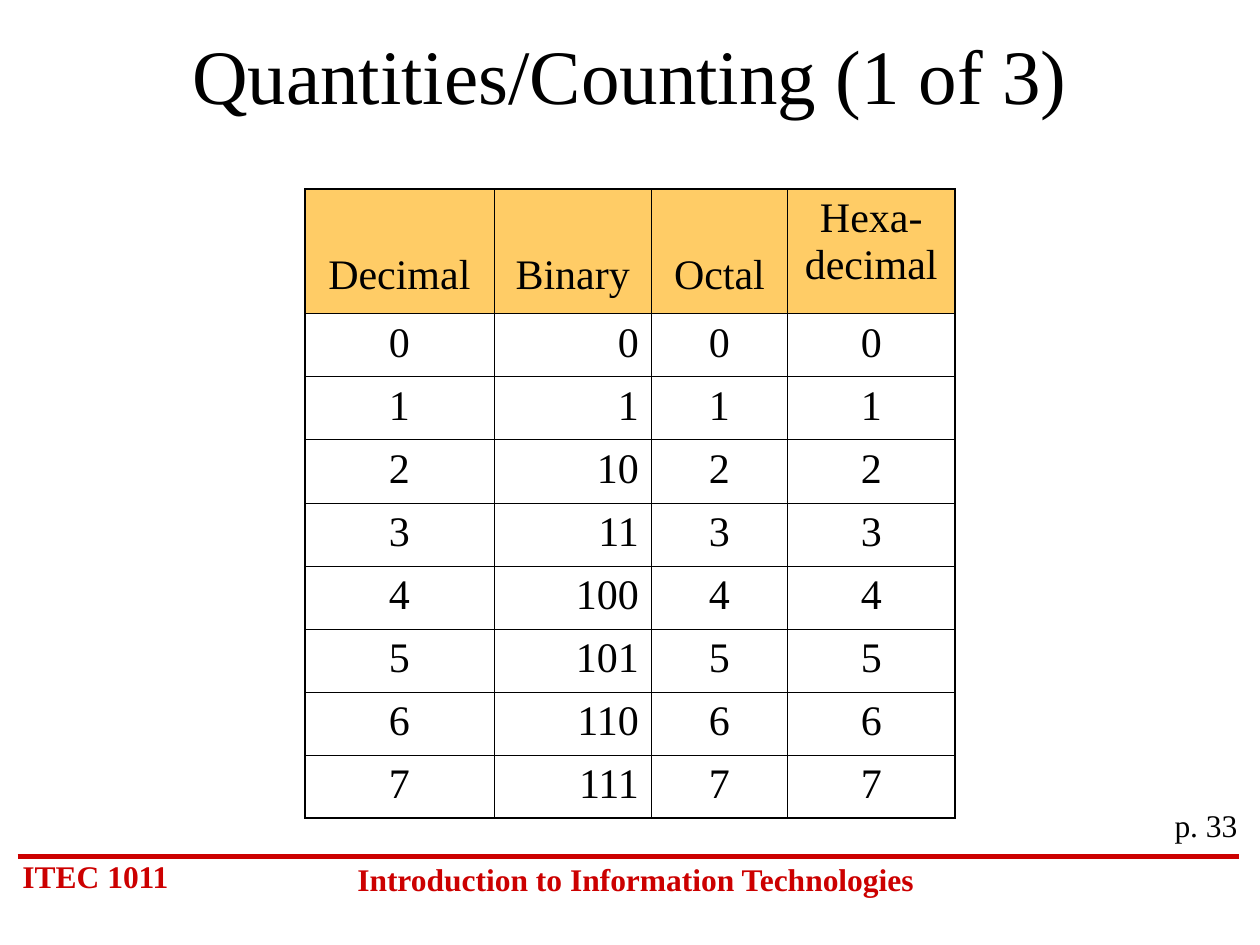
import pptx
import pptx.dml.color
import pptx.enum.shapes
import pptx.enum.text
import pptx.oxml.ns
import pptx.util
from lxml import etree
from pptx.util import Inches

ALIGN = pptx.enum.text.PP_ALIGN
ANCHOR = pptx.enum.text.MSO_ANCHOR
qn = pptx.oxml.ns.qn


def color(hex_string):
    return pptx.dml.color.RGBColor.from_string(hex_string)


def write(frame, text, size=18, ink="000000", bold=False, align=ALIGN.LEFT,
          before=0, font="Times New Roman"):
    """Put one formatted paragraph in a text frame."""
    paragraph = frame.paragraphs[0]
    paragraph.text = text
    paragraph.alignment = align
    paragraph.space_before = pptx.util.Pt(before)
    for run in paragraph.runs:
        run.font.name = font
        run.font.size = pptx.util.Pt(size)
        run.font.bold = bold
        run.font.color.rgb = color(ink)


class CourseSlide:
    RED = "CC0000"
    BLACK = "000000"
    HEADER_FILL = "FFCC66"
    INNER, OUTER = 0.45, 1.08

    def __init__(self, slide):
        self.slide = slide

    def title(self, text, left, top, width, height):
        heading = self.slide.shapes.title
        heading.left, heading.top = Inches(left), Inches(top)
        heading.width, heading.height = Inches(width), Inches(height)
        heading.text_frame.vertical_anchor = ANCHOR.MIDDLE
        write(heading.text_frame, text, size=44, align=ALIGN.CENTER)

    def label(self, text, left, top, width, height, **style):
        box = self.slide.shapes.add_textbox(
            Inches(left), Inches(top), Inches(width), Inches(height))
        box.text_frame.word_wrap = True
        write(box.text_frame, text, before=11.2, **style)

    def rule(self, left, right, y):
        line = self.slide.shapes.add_connector(
            pptx.enum.shapes.MSO_CONNECTOR.STRAIGHT,
            Inches(left), Inches(y), Inches(right), Inches(y))
        line.line.color.rgb = color(self.RED)
        line.line.width = pptx.util.Pt(3)
        etree.SubElement(line._element.spPr, qn("a:effectLst"))

    def border(self, cell, side, width):
        edge = etree.SubElement(cell._tc.get_or_add_tcPr(), qn(f"a:ln{side}"),
                                w=str(pptx.util.Pt(width)))
        fill = etree.SubElement(edge, qn("a:solidFill"))
        etree.SubElement(fill, qn("a:srgbClr"), val=self.BLACK)

    def table(self, rows, left, top, widths, heights, aligns):
        grid = self.slide.shapes.add_table(
            len(rows), len(widths), Inches(left), Inches(top),
            Inches(sum(widths)), Inches(sum(heights))).table
        grid.first_row = grid.horz_banding = False
        for column, width in zip(grid.columns, widths):
            column.width = Inches(width)
        for row, height in zip(grid.rows, heights):
            row.height = Inches(height)

        last_row, last_column = len(rows) - 1, len(widths) - 1
        for r, values in enumerate(rows):
            for c, value in enumerate(values):
                cell = grid.cell(r, c)
                outer_sides = {"L": c == 0, "R": c == last_column,
                               "T": r == 0, "B": r == last_row}
                for side, is_outer in outer_sides.items():
                    self.border(cell, side,
                                self.OUTER if is_outer else self.INNER)
                if r == 0:
                    cell.fill.solid()
                    cell.fill.fore_color.rgb = color(self.HEADER_FILL)
                    # One-line headings sit low, two-line ones start at the top
                    if "\n" not in value:
                        cell.vertical_anchor = ANCHOR.BOTTOM
                        cell.margin_bottom = Inches(0.12)
                else:
                    cell.fill.background()
                write(cell.text_frame, value, size=24, before=6,
                      align=aligns[c] if r else ALIGN.CENTER)


def main():
    deck = pptx.Presentation()
    deck.slide_width, deck.slide_height = Inches(10), Inches(7.5)
    page = CourseSlide(deck.slides.add_slide(deck.slide_layouts[5]))

    # Course footer
    page.rule(0.14, 9.83, 6.8)
    page.label("ITEC 1011", 0.08, 6.75, 1.5, 0.4, ink=page.RED, bold=True)
    page.label("Introduction to Information Technologies", 2.67, 6.78, 4.75, 0.4,
               ink=page.RED, bold=True, align=ALIGN.CENTER)

    # Title
    page.title("Quantities/Counting (1 of 3)", 0.75, 0.17, 8.5, 0.83)

    # Counting table: 0 to 7 in four number systems
    headings = ["Decimal", "Binary", "Octal", "Hexa-\ndecimal"]
    counts = [[f"{n:{base}}" for base in "dboX"] for n in range(8)]
    page.table([headings] + counts, 2.42, 1.5,
               widths=[1.5, 1.25, 1.08, 1.33],
               heights=[0.99] + [0.5] * len(counts),
               aligns=[ALIGN.CENTER, ALIGN.RIGHT, ALIGN.CENTER, ALIGN.CENTER])

    # Page reference
    page.label("p. 33", 8.75, 6.35, 1.17, 0.4, align=ALIGN.RIGHT)

    deck.save("out.pptx")


if __name__ == "__main__":
    main()
